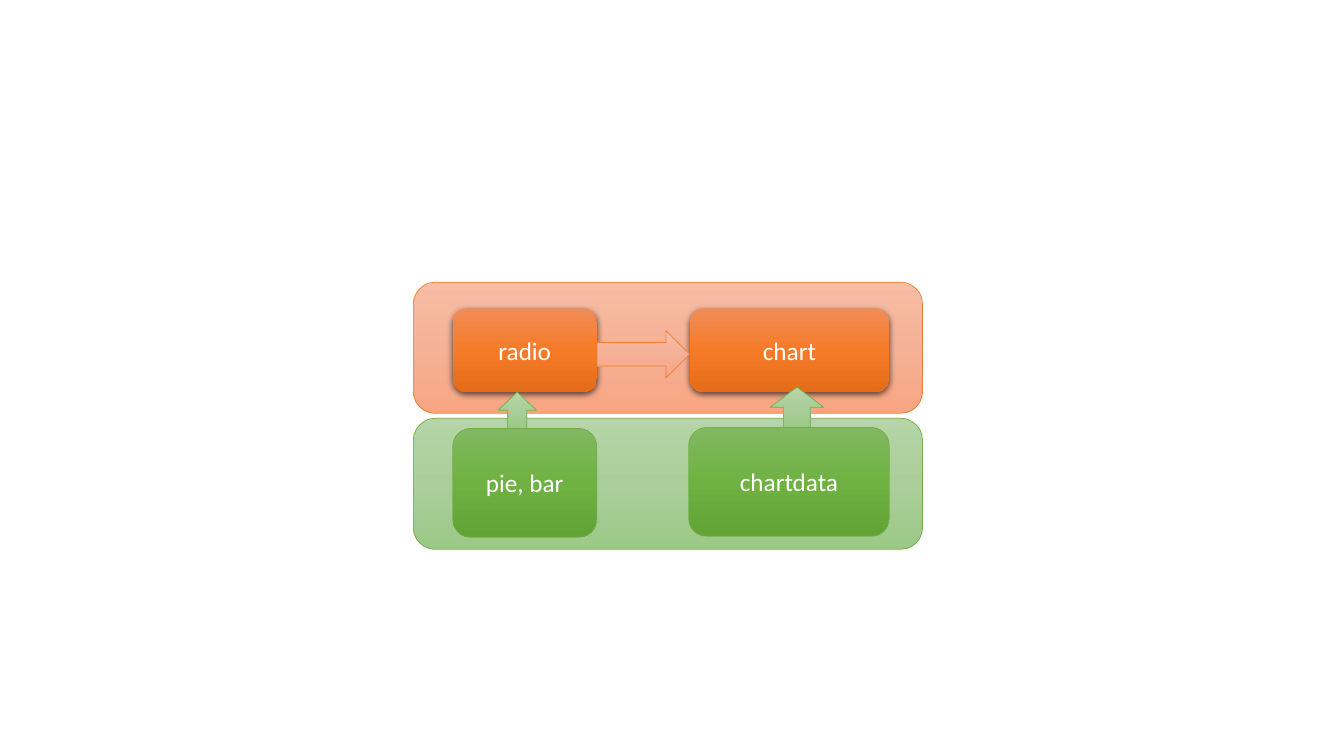
import pptx
import pptx.util
import pptx.dml.color
import pptx.enum.shapes
import pptx.enum.text
import pptx.oxml
import pptx.oxml.ns
from lxml import etree

Inches = pptx.util.Inches
RGB = pptx.dml.color.RGBColor.from_string
SHAPE = pptx.enum.shapes.MSO_SHAPE
qn = pptx.oxml.ns.qn

COLORS = {
    "orange_line": "ED7D31",
    "green_line": "70AD47",
    "text": "FFFFFF",
    "shadow": "000000",
}
GRADIENTS = {
    "orange_pale": ("F7BDA5", "F5B196", "F8A582"),
    "orange_strong": ("F18C57", "F67B28", "E56C19"),
    "green_pale": ("B5D5A7", "AACE9A", "9CC987"),
    "green_strong": ("81B861", "6FB242", "62A336"),
}


def fill_downward(shape, gradient):
    """Fill with three evenly spaced colours running from top to bottom."""
    shape.fill.gradient()
    shape.fill.gradient_angle = 270
    stops = shape._element.spPr.find(qn("a:gradFill")).find(qn("a:gsLst"))
    for stop in list(stops):
        stops.remove(stop)
    for index, color in enumerate(GRADIENTS[gradient]):
        stop = etree.SubElement(stops, qn("a:gs"), pos=str(index * 50000))
        etree.SubElement(stop, qn("a:srgbClr"), val=color)


def add_drop_shadow(shape):
    effects = shape._element.spPr.find(qn("a:effectLst"))
    shadow = etree.SubElement(
        effects, qn("a:outerShdw"), blurRad=str(pptx.util.Pt(4.5)),
        dist=str(pptx.util.Pt(1.5)), dir="5400000", algn="ctr", rotWithShape="0")
    color = etree.SubElement(shadow, qn("a:srgbClr"), val=COLORS["shadow"])
    etree.SubElement(color, qn("a:alpha"), val="63000")


def add_gradient_shape(page, kind, box, gradient, line=None):
    shape = page.shapes.add_shape(kind, *map(Inches, box))
    shape.shadow.inherit = False
    fill_downward(shape, gradient)
    if line:
        shape.line.color.rgb = RGB(COLORS[line])
        shape.line.width = pptx.util.Pt(0.5)
    else:
        shape.line.fill.background()
    return shape


def add_block(page, box, label, gradient, line=None):
    block = add_gradient_shape(page, SHAPE.ROUNDED_RECTANGLE, box, gradient, line)
    if not line:
        add_drop_shadow(block)
    frame = block.text_frame
    frame.text = label
    frame.vertical_anchor = pptx.enum.text.MSO_ANCHOR.MIDDLE
    para = frame.paragraphs[0]
    para.alignment = pptx.enum.text.PP_ALIGN.CENTER
    font = para.runs[0].font
    font.name = "Calibri"
    font.size = pptx.util.Pt(18)
    font.color.rgb = RGB(COLORS["text"])


def add_bands(page, box):
    """Stack the orange view band over the green data band."""
    left, top, width, height = box
    gap = 0.05
    band_height = (height - gap) / 2
    for row, hue in enumerate(("orange", "green")):
        band = (left, top + row * (band_height + gap), width, band_height)
        add_gradient_shape(page, SHAPE.ROUNDED_RECTANGLE, band,
                           f"{hue}_pale", f"{hue}_line")


def add_views(page, box):
    """Place the radio and chart blocks with the arrow between them."""
    left, top, width, height = box
    radio_width, chart_width = 1.43, 1.98
    chart_left = left + width - chart_width
    add_block(page, (chart_left, top, chart_width, height), "chart", "orange_strong")
    add_block(page, (left, top, radio_width, height), "radio", "orange_strong")
    arrow_left = left + radio_width
    add_gradient_shape(page, SHAPE.RIGHT_ARROW,
                       (arrow_left, top + 0.22, chart_left - arrow_left, 0.47),
                       "orange_pale", "orange_line")


def add_source(page, box, label, arrow_offset, arrow_width, arrow_height):
    """Place a data block with an arrow rising from its top edge."""
    left, top = box[:2]
    add_block(page, box, label, "green_strong", "green_line")
    arrow = (left + arrow_offset, top - arrow_height, arrow_width, arrow_height)
    add_gradient_shape(page, SHAPE.UP_ARROW, arrow, "green_pale", "green_line")


def main():
    deck = pptx.Presentation()
    deck.slide_width, deck.slide_height = Inches(13.33), Inches(7.5)
    page = deck.slides.add_slide(deck.slide_layouts[6])
    add_bands(page, (4.1, 2.8, 5.05, 2.65))
    add_views(page, (4.49, 3.06, 4.33, 0.83))
    add_source(page, (4.49, 4.25, 1.43, 1.08), "pie, bar", 0.45, 0.38, 0.36)
    add_source(page, (6.83, 4.24, 1.99, 1.08), "chartdata", 0.81, 0.53, 0.4)
    deck.save("out.pptx")


if __name__ == "__main__":
    main()
